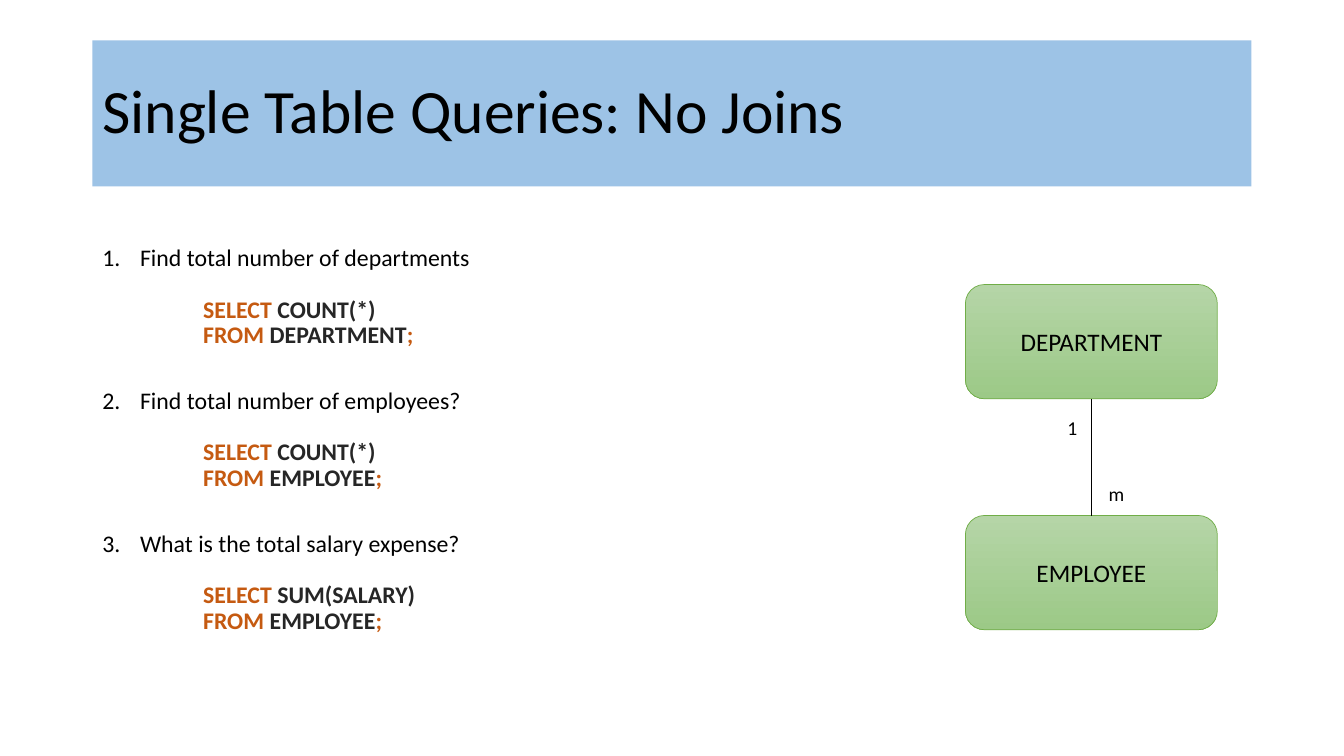
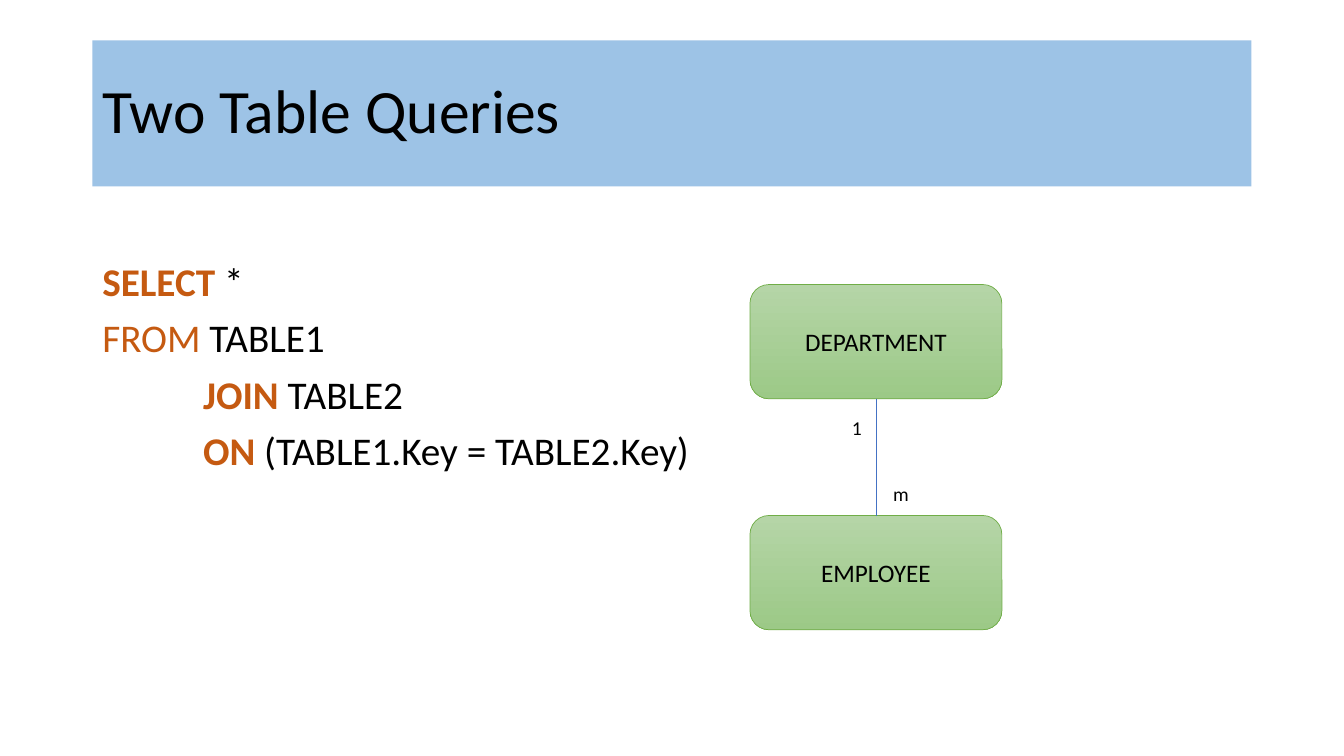
"""Build two slides about SQL queries on one and two tables."""
import pptx
import pptx.dml.color
import pptx.enum.shapes
import pptx.enum.text
import pptx.oxml
import pptx.oxml.ns
import pptx.util
from pptx.util import Cm

COLOURS = {
    "band": "9DC3E6",
    "text": "000000",
    "code": "262626",
    "keyword": "C55A11",
    "entity top": "B5D5A7",
    "entity bottom": "9CC987",
    "entity line": "70AD47",
    "link": "4472C4",
}
RUN_STYLES = {
    "plain": ("text", False),
    "code": ("code", True),
    "keyword": ("keyword", True),
    "light keyword": ("keyword", False),
}
FONT = "Calibri"
LEFT = 2.33
WIDTH = 29.21


def colour(name):
    return pptx.dml.color.RGBColor.from_string(COLOURS[name])


class Deck:
    def __init__(self):
        self.presentation = pptx.Presentation()
        self.presentation.slide_width = Cm(33.87)
        self.presentation.slide_height = Cm(19.05)
        self.slide = None

    def add_slide(self, title):
        self.slide = self.presentation.slides.add_slide(self.presentation.slide_layouts[6])
        band = self.add_shape("RECTANGLE", LEFT, 1.02, WIDTH, 3.68)
        band.fill.solid()
        band.fill.fore_color.rgb = colour("band")
        band.line.fill.background()
        paragraph = band.text_frame.paragraphs[0]
        paragraph.alignment = pptx.enum.text.PP_ALIGN.LEFT
        paragraph.line_spacing = 0.9
        self.add_run(paragraph, title, 44)

    def add_shape(self, kind, left, top, width, height):
        shape = self.slide.shapes.add_shape(
            pptx.enum.shapes.MSO_SHAPE[kind], Cm(left), Cm(top), Cm(width), Cm(height))
        shape.shadow.inherit = False
        shape.text_frame.vertical_anchor = pptx.enum.text.MSO_ANCHOR.MIDDLE
        return shape

    def add_run(self, paragraph, text, size, style="plain"):
        run = paragraph.add_run()
        run.text = text
        colour_name, run.font.bold = RUN_STYLES[style]
        run.font.color.rgb = colour(colour_name)
        run.font.size = pptx.util.Pt(size)
        run.font.name = FONT

    def add_text_box(self, left, top, width, height, wrap=True):
        text_frame = self.slide.shapes.add_textbox(
            Cm(left), Cm(top), Cm(width), Cm(height)).text_frame
        text_frame.word_wrap = wrap
        return text_frame

    def add_body(self, top, height, size, lines):
        text_frame = self.add_text_box(LEFT, top, WIDTH, height)
        for index, (runs, gap, indent, number) in enumerate(lines):
            paragraph = text_frame.add_paragraph() if index else text_frame.paragraphs[0]
            paragraph.line_spacing = 0.9
            paragraph.space_before = pptx.util.Pt(gap if index else 0)
            for text, style in runs:
                self.add_run(paragraph, text, size, style)
            properties = paragraph._p.get_or_add_pPr()
            properties.set("marL", str(Cm(indent)))
            if number:
                properties.set("indent", str(-Cm(indent)))
                bullet = pptx.oxml.parse_xml(
                    f'<a:buAutoNum {pptx.oxml.ns.nsdecls("a")} '
                    f'type="arabicPeriod" startAt="{number}"/>')
                properties.append(bullet)

    def add_entity(self, name, left, top):
        entity = self.add_shape("ROUNDED_RECTANGLE", left, top, 6.35, 2.88)
        entity.fill.gradient()
        entity.fill.gradient_angle = 270
        for stop, name_of_colour in zip(entity.fill.gradient_stops, ("entity top", "entity bottom")):
            stop.color.rgb = colour(name_of_colour)
        entity.line.color.rgb = colour("entity line")
        entity.line.width = pptx.util.Pt(0.5)
        paragraph = entity.text_frame.paragraphs[0]
        paragraph.alignment = pptx.enum.text.PP_ALIGN.CENTER
        self.add_run(paragraph, name, 18)
        return entity

    def add_link(self, start, end, line_colour):
        link = self.slide.shapes.add_connector(
            pptx.enum.shapes.MSO_CONNECTOR.STRAIGHT, 0, 0, 0, 0)
        link.begin_connect(start, 2)
        link.end_connect(end, 0)
        link.line.color.rgb = colour(line_colour)
        link.line.width = pptx.util.Pt(0.5)
        link._element.spPr.append(
            pptx.oxml.parse_xml(f'<a:effectLst {pptx.oxml.ns.nsdecls("a")}/>'))

    def add_relationship(self, left, line_colour):
        department = self.add_entity("DEPARTMENT", left, 7.17)
        employee = self.add_entity("EMPLOYEE", left, 12.99)
        self.add_link(department, employee, line_colour)
        centre = left + 3.18
        for text, offset, top, width in (("1", -0.86, 10.36, 0.76), ("m", 0.18, 12.01, 0.91)):
            label = self.add_text_box(centre + offset, top, width, 0.86, wrap=False)
            self.add_run(label.paragraphs[0], text, 14)


deck = Deck()

deck.add_slide("Single Table Queries: No Joins")
queries = (
    ("Find total number of departments", "COUNT(*)", "DEPARTMENT"),
    ("Find total number of employees?", "COUNT(*)", "EMPLOYEE"),
    ("What is the total salary expense?", "SUM(SALARY)", "EMPLOYEE"),
)
query_lines = []
for number, (question, result, table) in enumerate(queries, 1):
    query_lines += [
        ([(question, "plain")], 28.4, 0.95, number),
        ([("SELECT ", "keyword"), (result, "code")], 18.4, 2.54, None),
        ([("FROM ", "keyword"), (table, "code"), (";", "keyword")], 0, 2.54, None),
    ]
deck.add_body(6.08, 11, 17, query_lines)
deck.add_relationship(24.33, "text")

deck.add_slide("Two Table Queries")
join_lines = (
    ("SELECT", " *", "keyword", 0),
    ("FROM", " TABLE1", "light keyword", 0),
    ("JOIN", " TABLE2", "keyword", 2.54),
    ("ON", " (TABLE1.Key = TABLE2.Key)", "keyword", 2.54),
)
deck.add_body(6.49, 10.5, 28, [
    ([(keyword, style), (rest, "plain")], 10, indent, None)
    for keyword, rest, style, indent in join_lines])
deck.add_relationship(18.9, "link")

deck.presentation.save("out.pptx")
